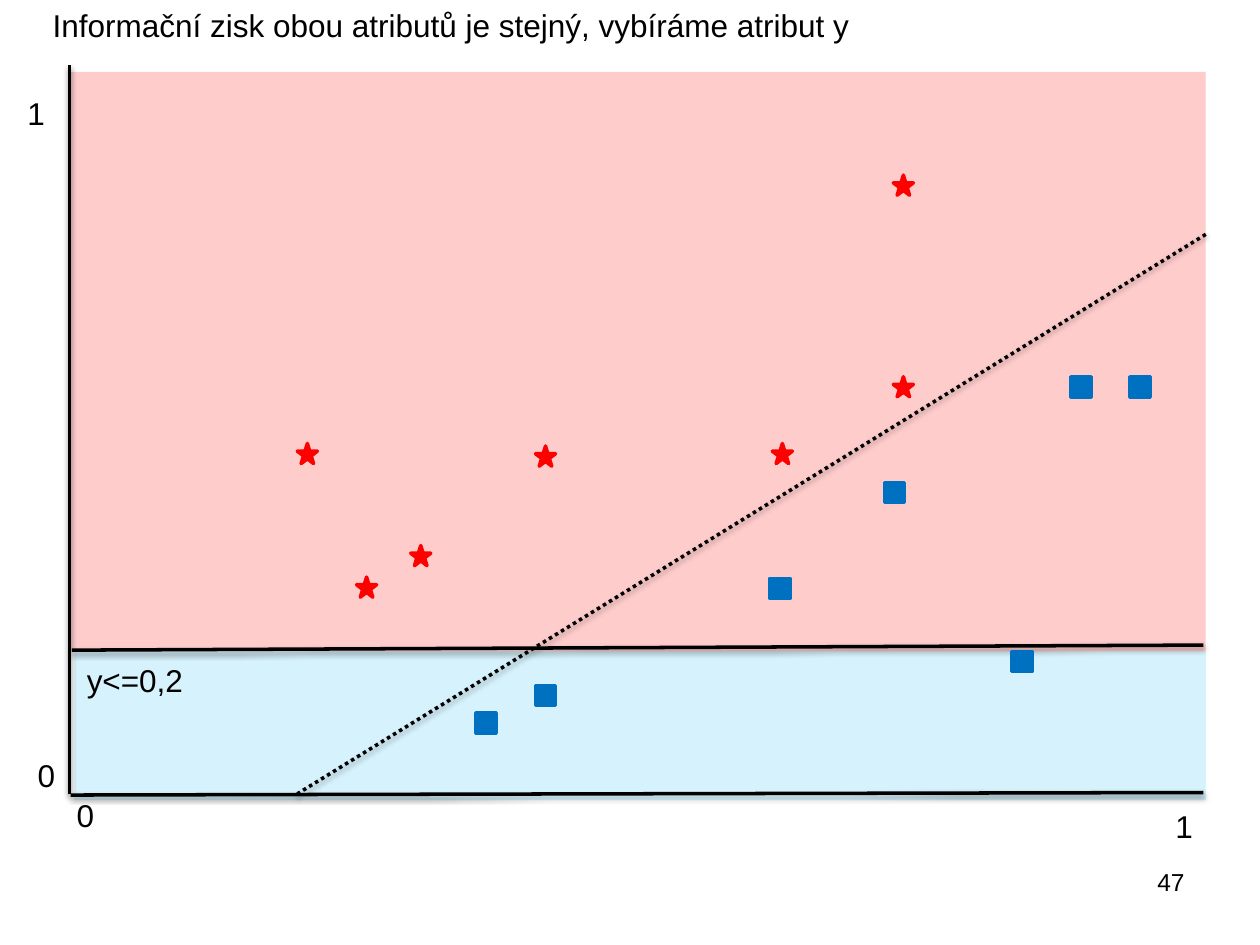
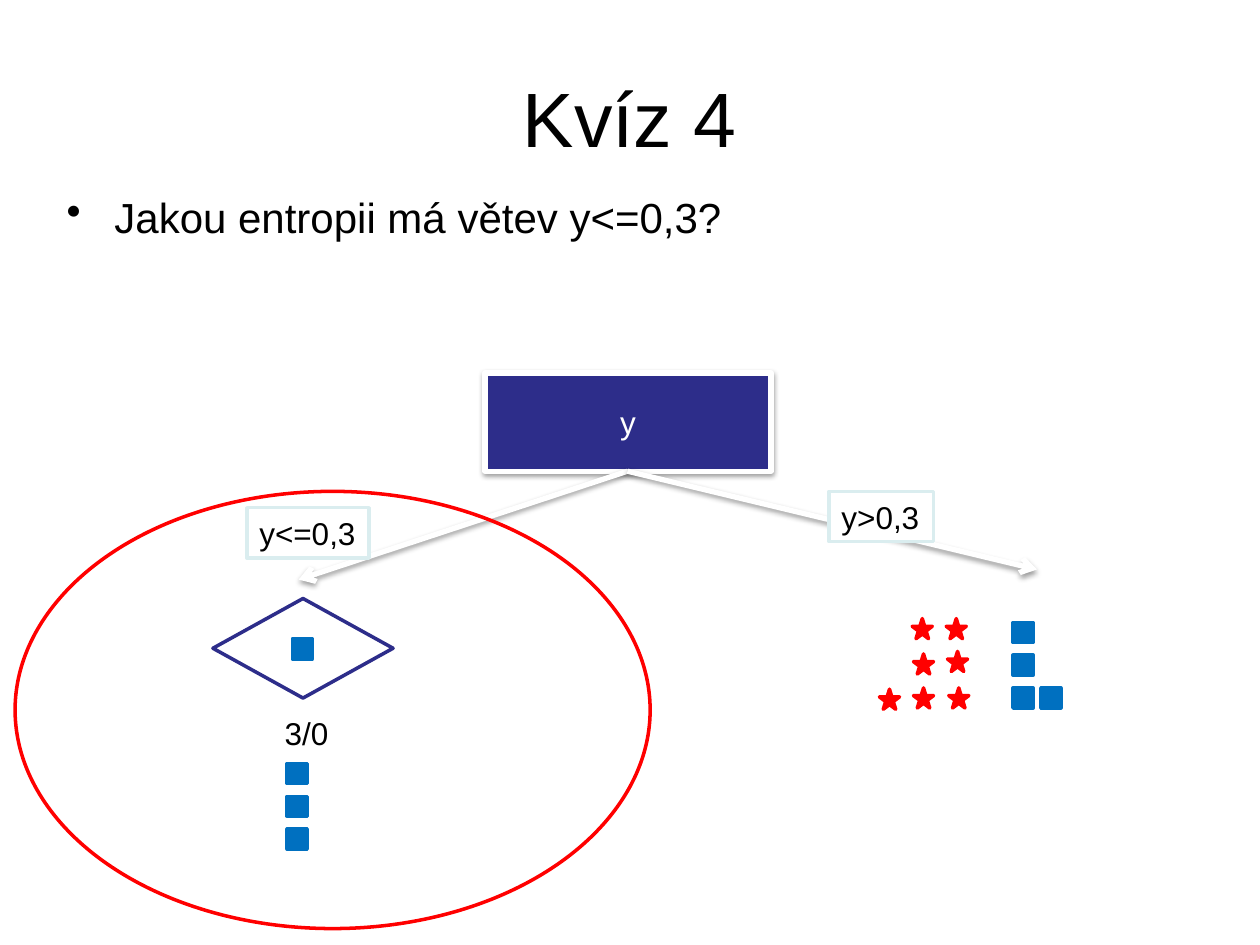
import pptx
import pptx.util
import pptx.dml.color
import pptx.enum.dml
import pptx.enum.shapes
import pptx.enum.text
import pptx.oxml
import pptx.oxml.ns
from lxml import etree

Inches = pptx.util.Inches
Pt = pptx.util.Pt
RGBColor = pptx.dml.color.RGBColor
Shape = pptx.enum.shapes.MSO_SHAPE
Align = pptx.enum.text.PP_ALIGN
Anchor = pptx.enum.text.MSO_ANCHOR
qn = pptx.oxml.ns.qn

BLACK = RGBColor(0x00, 0x00, 0x00)
WHITE = RGBColor(0xFF, 0xFF, 0xFF)
RED = RGBColor(0xFF, 0x00, 0x00)
BLUE = RGBColor(0x00, 0x70, 0xC0)
SKY = RGBColor(0x00, 0xB0, 0xF0)
PINK = RGBColor(0xFF, 0xCC, 0xCC)
NAVY = RGBColor(0x2D, 0x2D, 0x8A)
PALE_TEAL = RGBColor(0xDA, 0xED, 0xEF)

FONT = "Arial"
MARKER_SIZE = 0.16
ROW_STEP = 0.26

PLOT_STARS = [(2.36, 3.52), (4.25, 3.54), (2.83, 4.58), (3.26, 4.33),
              (7.09, 2.99), (6.13, 3.52), (7.09, 1.39)]
PLOT_SQUARES = [(4.25, 5.44), (8.5, 2.99), (6.11, 4.59), (7.02, 3.83),
                (8.03, 5.17), (3.78, 5.66), (8.97, 2.99)]
PLOT_LINES = [((0.55, 0.52), (0.55, 6.3)), ((9.55, 6.29), (0.56, 6.31)),
              ((0.57, 5.16), (9.55, 5.12))]
CLASS_BOUNDARY = ((9.57, 1.86), (2.36, 6.3))
PLOT_LABELS = [
    ("0", (0.51, 6.27, 0.34, 0.4)),
    ("1", (9.23, 6.36, 0.34, 0.4)),
    ("1", (0.12, 0.7, 0.34, 0.4)),
    ("0", (0.2, 5.95, 0.79, 0.4)),
    ("y<=0,2", (0.59, 5.2, 1.19, 0.4)),
    ("Informační zisk obou atributů je stejný, vybíráme atribut y", (0.32, 0, 9.44, 0.4)),
]

BRANCH_START = (4.98, 3.74)
BRANCHES = [("y<=0,3", (2.37, 4.6), (1.96, 4.03, 0.97, 0.4)),
            ("y>0,3", (8.23, 4.52), (6.58, 3.9, 0.83, 0.4))]
RIGHT_STARS = [(7.24, 4.91), (7.51, 4.91), (7.25, 5.19), (7.52, 5.17),
               (6.98, 5.47), (7.25, 5.46), (7.53, 5.46)]
RIGHT_SQUARES = [(8.04, 4.94 + row * ROW_STEP) for row in range(3)] + [(8.26, 5.46)]
LEFT_SQUARES = [(2.28, 6.06 + row * ROW_STEP) for row in range(3)]


def add_shadow(shape):
    properties = shape._element.spPr
    effects = properties.find(qn("a:effectLst"))
    if effects is None:
        effects = etree.SubElement(properties, qn("a:effectLst"))
    shadow = etree.SubElement(effects, qn("a:outerShdw"), blurRad=str(Pt(3.1)),
                              dist=str(Pt(1.6)), dir="5400000", rotWithShape="0")
    color = etree.SubElement(shadow, qn("a:srgbClr"), val=str(BLACK))
    etree.SubElement(color, qn("a:alpha"), val="38000")


def write_text(shape, text, size=18, color=BLACK, align=Align.LEFT, anchor=Anchor.TOP, wrap=True):
    frame = shape.text_frame
    frame.word_wrap = wrap
    frame.vertical_anchor = anchor
    paragraph = frame.paragraphs[0]
    paragraph.text = text
    paragraph.alignment = align
    paragraph.font.name = FONT
    paragraph.font.size = Pt(size)
    paragraph.font.color.rgb = color
    return paragraph


def add_text(page, text, place, **style):
    box = page.shapes.add_textbox(*map(Inches, place))
    return write_text(box, text, **style)


def add_figure(page, kind, place, fill=None, line=None, width=2):
    figure = page.shapes.add_shape(kind, *map(Inches, place))
    figure.shadow.inherit = False
    if fill is None:
        figure.fill.background()
    else:
        figure.fill.solid()
        figure.fill.fore_color.rgb = fill
    if line is None:
        figure.line.fill.background()
    else:
        figure.line.color.rgb = line
        figure.line.width = Pt(width)
    return figure


def add_markers(page, kind, color, points):
    for left, top in points:
        add_figure(page, kind, (left, top, MARKER_SIZE, MARKER_SIZE), color, color)


def add_line(page, start, end, color=BLACK, width=2, dotted=False, arrow=False):
    line = page.shapes.add_connector(pptx.enum.shapes.MSO_CONNECTOR.STRAIGHT,
                                     *map(Inches, start + end))
    line.line.color.rgb = color
    line.line.width = Pt(width)
    if dotted:
        line.line.dash_style = pptx.enum.dml.MSO_LINE.ROUND_DOT
    if arrow:
        etree.SubElement(line._element.spPr.find(qn("a:ln")), qn("a:tailEnd"), type="arrow")
    add_shadow(line)


def build_plot(page):
    add_figure(page, Shape.RECTANGLE, (0.56, 0.57, 9.01, 4.6), PINK)
    lower_region = add_figure(page, Shape.RECTANGLE, (0.59, 5.17, 8.98, 1.18), SKY)
    sky_color = next(lower_region._element.spPr.iter(qn("a:srgbClr")))
    etree.SubElement(sky_color, qn("a:alpha"), val="16000")
    for start, end in PLOT_LINES:
        add_line(page, start, end)
    add_markers(page, Shape.STAR_5_POINT, RED, PLOT_STARS)
    add_markers(page, Shape.RECTANGLE, BLUE, PLOT_SQUARES)
    add_line(page, *CLASS_BOUNDARY, dotted=True)
    for text, place in PLOT_LABELS:
        add_text(page, text, place)
    add_text(page, "47", (7.17, 6.83, 2.33, 0.52), size=14, align=Align.RIGHT)


def build_quiz(page):
    add_text(page, "Kvíz 4", (0.5, 0.3, 9, 1.25), size=44,
             align=Align.CENTER, anchor=Anchor.MIDDLE)
    question = add_text(page, "Jakou entropii má větev y<=0,3?", (0.43, 1.47, 9, 1.61), size=24)
    indent = Inches(0.38)
    properties = question._p.get_or_add_pPr()
    properties.set("marL", str(indent))
    properties.set("indent", str(-indent))
    bullet = pptx.oxml.parse_xml(
        '<a:buChar xmlns:a="http://schemas.openxmlformats.org/drawingml/2006/main" char="•"/>')
    properties.insert(0, bullet)

    root = add_figure(page, Shape.RECTANGLE, (3.85, 2.96, 2.27, 0.78), NAVY, WHITE, 3)
    add_shadow(root)
    write_text(root, "y", color=WHITE, align=Align.CENTER, anchor=Anchor.MIDDLE)
    for text, end, place in BRANCHES:
        add_line(page, BRANCH_START, end, WHITE, 3, arrow=True)
        label = add_figure(page, Shape.RECTANGLE, place, WHITE, PALE_TEAL)
        write_text(label, text, wrap=False)

    add_markers(page, Shape.STAR_5_POINT, RED, RIGHT_STARS)
    add_markers(page, Shape.RECTANGLE, BLUE, RIGHT_SQUARES + LEFT_SQUARES)
    add_figure(page, Shape.DIAMOND, (1.69, 4.75, 1.43, 0.79), WHITE, NAVY)
    add_markers(page, Shape.RECTANGLE, BLUE, [(2.32, 5.07)])
    add_text(page, "3/0", (2.16, 5.62, 1.69, 0.4))
    add_figure(page, Shape.OVAL, (0.12, 3.9, 5.04, 3.47), line=RED)


def main():
    deck = pptx.Presentation()
    deck.slide_width = Inches(10)
    deck.slide_height = Inches(7.5)
    for build in (build_plot, build_quiz):
        build(deck.slides.add_slide(deck.slide_layouts[6]))
    deck.save("out.pptx")


if __name__ == "__main__":
    main()
